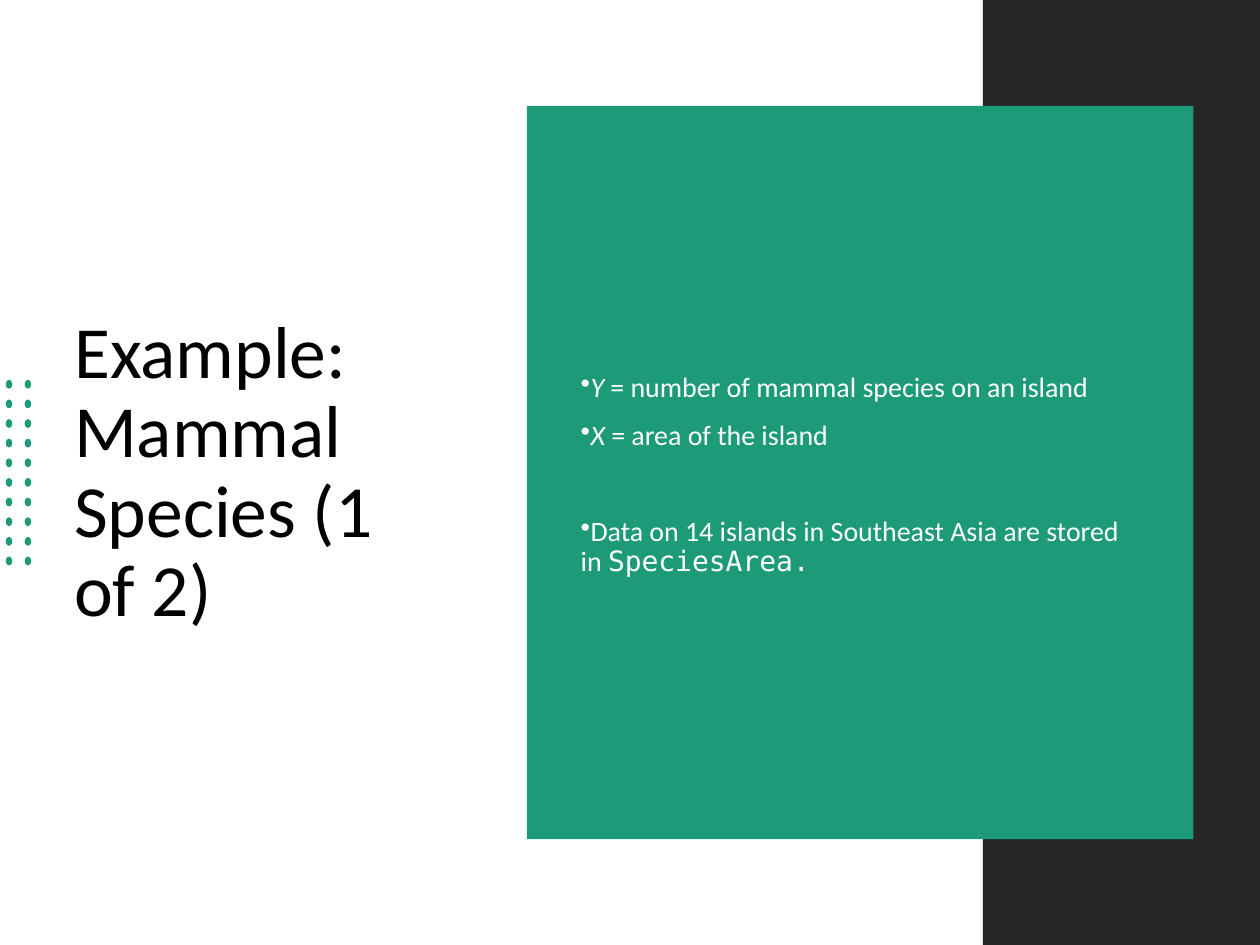
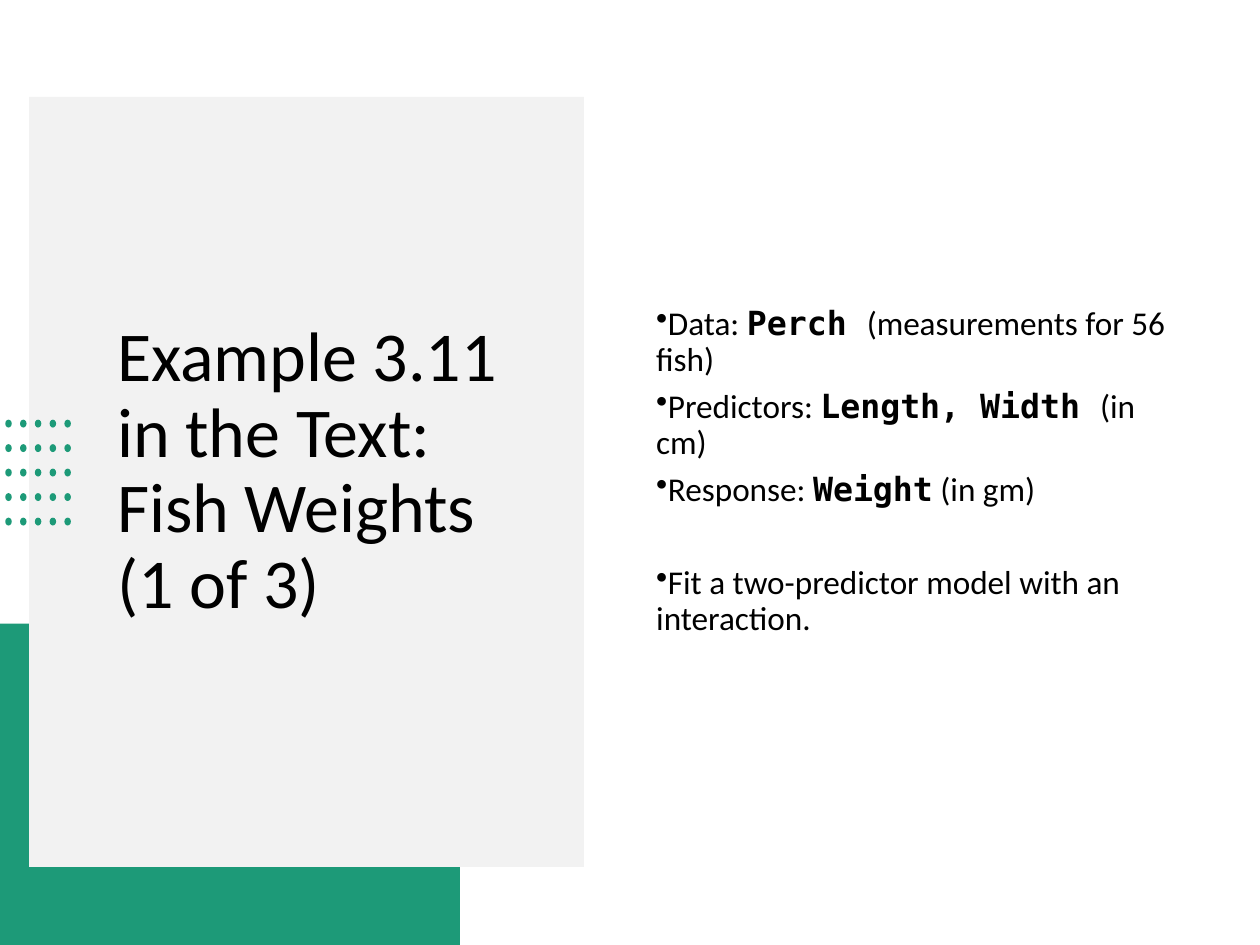
from lxml.etree import SubElement
from pptx import Presentation
from pptx.dml.color import RGBColor
from pptx.enum.shapes import MSO_SHAPE
from pptx.enum.text import MSO_ANCHOR
from pptx.oxml.ns import qn
from pptx.util import Pt

COLORS = {"green": "1D9A78", "dark": "262626", "gray": "F2F2F2",
          "black": "000000", "white": "FFFFFF"}
SANS, MONO = "Calibri", "DejaVu Sans Mono"
SLIDE_W, SLIDE_H = 720, 540


def add_block(shapes, box, color, kind=MSO_SHAPE.RECTANGLE):
    sp = shapes.add_shape(kind, *map(Pt, box))
    sp.shadow.inherit = False
    sp.fill.solid()
    sp.fill.fore_color.rgb = RGBColor.from_string(COLORS[color])
    sp.line.fill.background()


def add_dots(s, box, cols, rows, dot_w, dot_h):
    """Fill the box with an even grid of dots."""
    left, top, width, height = box
    step_x = (width - dot_w) / (cols - 1)
    step_y = (height - dot_h) / (rows - 1)
    group = s.shapes.add_group_shape()
    for col in range(cols):
        for row in range(rows):
            dot = (left + col * step_x, top + row * step_y, dot_w, dot_h)
            add_block(group.shapes, dot, "green", MSO_SHAPE.OVAL)


def add_text_frame(s, box):
    tf = s.shapes.add_textbox(*map(Pt, box)).text_frame
    tf.word_wrap = True
    tf.vertical_anchor = MSO_ANCHOR.MIDDLE
    return tf


def format_run(r, size, color, style=""):
    r.font.name = MONO if "mono" in style else SANS
    r.font.size = Pt(size)
    r.font.bold = "bold" in style
    r.font.italic = "italic" in style
    r.font.color.rgb = RGBColor.from_string(COLORS[color])


def add_title(s, box, text, size):
    p = add_text_frame(s, box).paragraphs[0]
    p.text = text
    p.line_spacing = 0.9
    format_run(p.runs[0], size, "black")


def add_bullets(s, box, items, size, color, gap, last_gap):
    """Each item is a list of (text, style); the last one stands apart."""
    tf = add_text_frame(s, box)
    for i, item in enumerate(items):
        p = tf.paragraphs[0] if i == 0 else tf.add_paragraph()
        pPr = p._p.get_or_add_pPr()
        pPr.set("marL", "0")
        pPr.set("indent", str(-Pt(18)))
        SubElement(pPr, qn("a:buChar")).set("char", "•")
        p.line_spacing = 0.9
        if i:
            p.space_before = Pt(last_gap if i == len(items) - 1 else gap)
        for text, style in item:
            r = p.add_run()
            r.text = text
            format_run(r, size, color, style)


def add_mammal_slide(prs, box):
    left, top, width, height = box
    s = prs.slides.add_slide(prs.slide_layouts[6])
    # Title and dots on the left
    add_title(s, (left + 35.3, top + 82, 224.6, 377.3),
              "Example: Mammal Species (1 of 2)", 42)
    add_dots(s, (left + 3.3, top + 217.1, 14.5, 106), 2, 10, 3.7, 5)
    # Dark band with the green panel over it
    add_block(s.shapes, (left + width - 158.4, top, 158.4, height), "dark")
    add_block(s.shapes, (left + 301, top + 60.5, 381, 419), "green")
    add_bullets(s, (left + 324.7, top + 92.9, 334, 357.8), [
        [("Y", "italic"), (" = number of mammal species on an island", "")],
        [("X", "italic"), (" = area of the island", "")],
        [("Data on 14 islands in Southeast Asia are stored in ", ""),
         ("SpeciesArea.", "mono")],
    ], 16, "white", 10, 37.4)


def add_fish_slide(prs, box):
    left, top, width, height = box
    s = prs.slides.add_slide(prs.slide_layouts[6])
    # Green corner behind the gray title panel
    add_block(s.shapes, (left, top + height - 183.6, 262.8, 183.6), "green")
    add_block(s.shapes, (left + 16.6, top + 55.4, 317, 440), "gray")
    add_title(s, (left + 59.8, top + 105.8, 247.7, 328.3),
              "Example 3.11 in the Text: Fish Weights (1 of 3)", 40)
    add_dots(s, (left + 3, top + 239.8, 37.5, 60.5), 5, 5, 3.7, 4.5)
    # Data, variables and task
    add_bullets(s, (left + 367.9, top + 59, 316.8, 421.9), [
        [("Data: ", ""), ("Perch ", "mono bold"),
         ("(measurements for 56 fish)", "")],
        [("Predictors: ", ""), ("Length, Width ", "mono bold"),
         ("(in cm)", "")],
        [("Response: ", ""), ("Weight", "mono bold"), (" (in gm)", "")],
        [("Fit a two-predictor model with an interaction.", "")],
    ], 19, "black", 6.2, 33)


def main():
    prs = Presentation()
    prs.slide_width, prs.slide_height = Pt(SLIDE_W), Pt(SLIDE_H)
    page = (0, 0, SLIDE_W, SLIDE_H)
    add_mammal_slide(prs, page)
    add_fish_slide(prs, page)
    prs.save("out.pptx")


if __name__ == "__main__":
    main()
